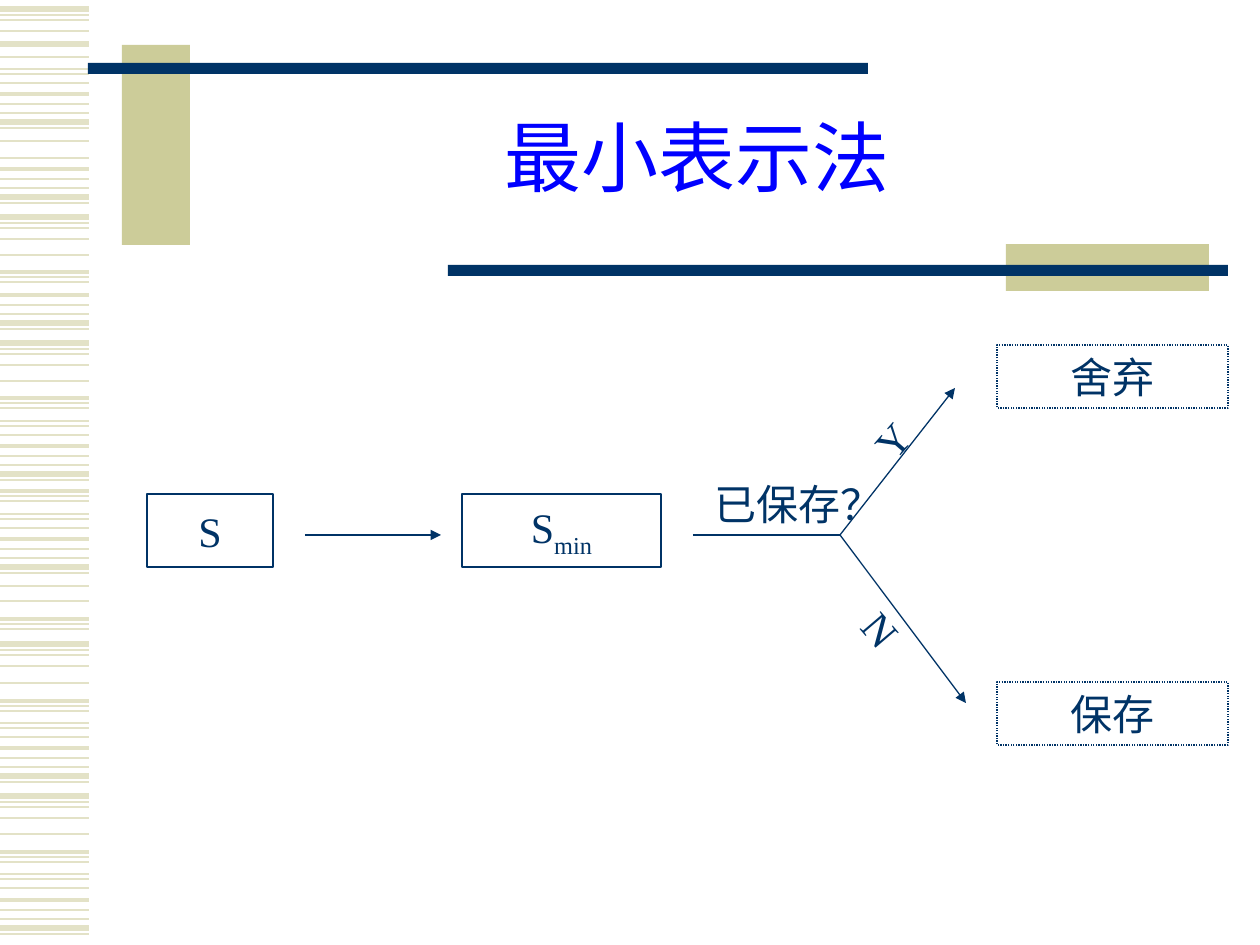
from pptx import Presentation
from pptx import util as u
from pptx.dml.color import RGBColor
from pptx.enum import dml, shapes, text
from pptx.oxml.ns import qn
from lxml import etree

PX = 914400 // 126
NAVY = RGBColor(0x00, 0x33, 0x66)
BLUE = RGBColor(0x00, 0x00, 0xFF)
KHAKI = RGBColor(0xCC, 0xCC, 0x99)
PALE = RGBColor(0xE3, 0xE2, 0xC7)
FONT = "Times New Roman"

# Stripe motifs: (offset, weight) pairs, and the tops where each one starts
MOTIFS = [
    ([(0, 3), (6, .74), (11, .99), (22, .99)], [9, 217, 343, 644, 796]),
    ([(0, 2.24), (5, .74), (10, 1.5)], [272, 398, 491, 619, 852 - 151, 852]),
    ([(0, .74), (5, 1.5), (14, .99)], [69, 421, 514, 723, 874]),
    ([(0, 2.24), (10, 1.5), (19, .74), (28, 3), (34, 1.5)],
     [94, 169, 295, 446, 539, 748, 900]),
    ([(0, .99)], [141, 158, 255, 381, 586, 601, 683, 834]),
    ([(0, 3), (13, 1.5)], [44]),
]


def px(*nums):
    return [u.Emu(n * PX) for n in nums]


def rule(page, start, end, color=NAVY, width=.74, arrow=False):
    line = page.shapes.add_connector(
        shapes.MSO_CONNECTOR.STRAIGHT, *px(*start, *end))
    line.line.color.rgb = color
    line.line.width = u.Pt(width)
    if arrow:
        etree.SubElement(line.line._get_or_add_ln(), qn("a:tailEnd"),
                         type="triangle")
    etree.SubElement(line._element.spPr, qn("a:effectLst"))


def rect(page, box, fill=None, dash=None):
    item = page.shapes.add_shape(shapes.MSO_SHAPE.RECTANGLE, *px(*box))
    item.shadow.inherit = False
    if fill is not None:
        item.fill.solid()
        item.fill.fore_color.rgb = fill
        item.line.fill.background()
    else:
        item.fill.background()
        item.line.color.rgb = NAVY
        item.line.width = u.Pt(.74)
        if dash:
            item.line.dash_style = dash
    return item


def write(item, runs, size=24, color=NAVY, wrap=True, grow=False):
    frame = item.text_frame
    frame.word_wrap = wrap
    frame.vertical_anchor = (text.MSO_ANCHOR.TOP if grow
                             else text.MSO_ANCHOR.MIDDLE)
    frame.auto_size = (text.MSO_AUTO_SIZE.SHAPE_TO_FIT_TEXT if grow
                       else text.MSO_AUTO_SIZE.NONE)
    para = frame.paragraphs[0]
    para.alignment = text.PP_ALIGN.CENTER
    if grow:
        para.space_before = u.Pt(15)
    for words, base in runs:
        run = para.add_run()
        run.text = words
        run.font.size = u.Pt(size)
        run.font.name = FONT
        run.font.color.rgb = color
        if base:
            run.font._element.set("baseline", str(base * 1000))
    return para


def label(page, box, words, turn=0):
    item = page.shapes.add_textbox(*px(*box))
    item.rotation = turn
    write(item, [(words, 0)], grow=True)


def stripes(page, left, top, width):
    for motif, starts in MOTIFS:
        for start in starts:
            for off, weight in motif:
                y = top + start + off
                rule(page, (left, y), (left + width, y), PALE, weight)


def header(page, left, top):
    # Khaki blocks with navy bars over them
    for x, y, w, h, fill in [(34, 0, 68, 200, KHAKI), (0, 18, 780, 11, NAVY),
                             (918, 199, 203, 47, KHAKI),
                             (360, 220, 780, 11, NAVY)]:
        rect(page, (left + x, top + y, w, h), fill)
    # Title
    title = page.shapes.add_textbox(*px(left + 101, top + 39, 1017, 158))
    para = write(title, [("最小表示法", 0)], 44, BLUE)
    para.line_spacing = .85


def flow(page, left, top):
    mid = top + 190
    fork = (left + 693, mid)
    # Input and its minimal form
    for x, w, runs in [(0, 126, [("S", 0)]),
                       (315, 199, [("S", 0), ("min", -25)])]:
        write(rect(page, (left + x, top + 149, w, 73)), runs, wrap=False)
    rule(page, (left + 158, mid), (left + 294, mid), arrow=True)
    # Outcomes
    for y, words in [(0, "舍弃"), (337, "保存")]:
        box = rect(page, (left + 850, top + y, 231, 63),
                   dash=dml.MSO_LINE.ROUND_DOT)
        write(box, [(words, 0)], grow=True)
    # Question and its two branches
    rule(page, (left + 546, mid), fork)
    label(page, (left + 536, top + 127, 189, 63), "已保存？")
    for tip, box, words, turn in [
            ((808, 43), (703, 64, 84, 63), "Y", 311),
            ((819, 358), (682, 253, 105, 63), "N", 49.6)]:
        rule(page, fork, (left + tip[0], top + tip[1]), arrow=True)
        x, y, w, h = box
        label(page, (left + x, top + y, w, h), words, turn)


deck = Presentation()
deck.slide_width, deck.slide_height = px(1260, 945)
page = deck.slides.add_slide(deck.slide_layouts[6])
stripes(page, 0, 0, 89)
header(page, 88, 45)
flow(page, 147, 345)
deck.save("out.pptx")
